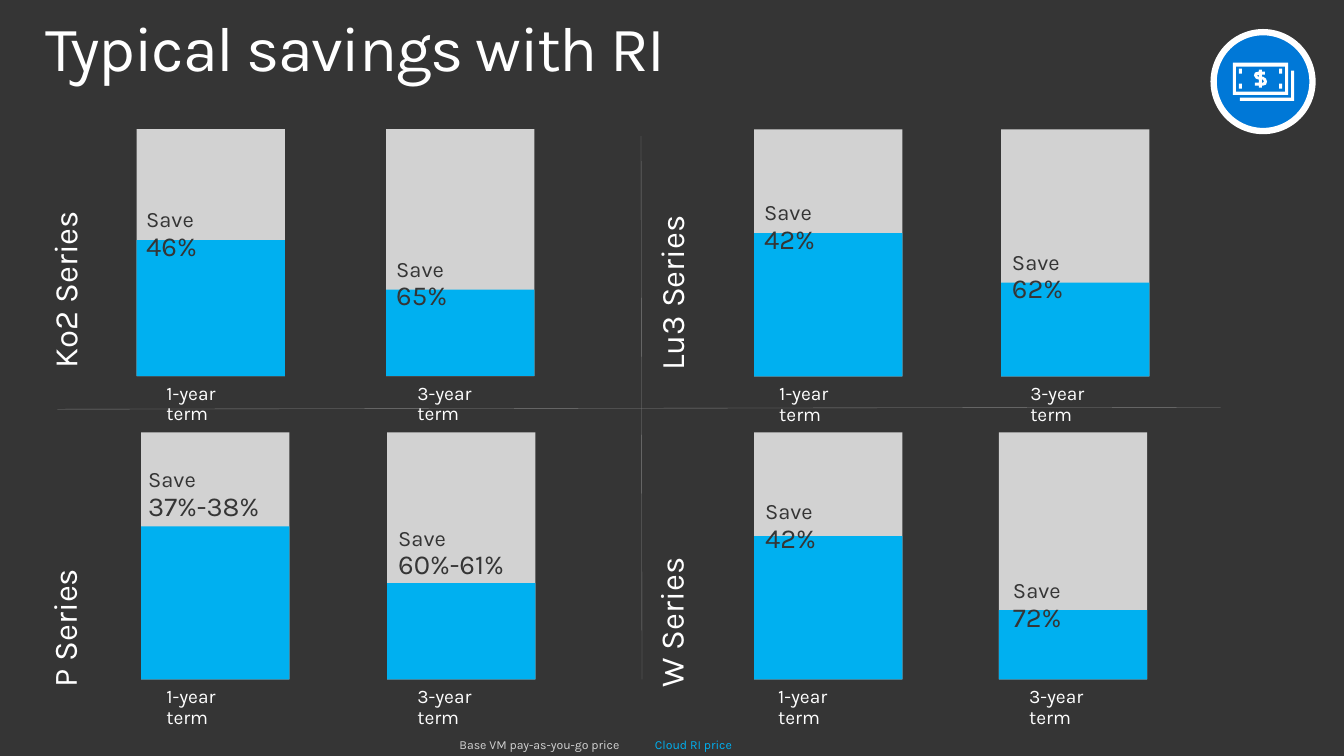
from dataclasses import dataclass

import pptx
import pptx.dml.color
import pptx.enum.shapes
import pptx.enum.text
import pptx.oxml.ns
import pptx.shapes.autoshape
import pptx.slide
import pptx.text.text
import pptx.util
from lxml import etree

Pt = pptx.util.Pt
RGBColor = pptx.dml.color.RGBColor
MSO_SHAPE = pptx.enum.shapes.MSO_SHAPE

CHARCOAL = RGBColor(0x35, 0x35, 0x35)
WHITE = RGBColor(0xFF, 0xFF, 0xFF)
LIGHT_GRAY = RGBColor(0xD2, 0xD2, 0xD2)
RULE_GRAY = RGBColor(0x80, 0x80, 0x80)
SKY_BLUE = RGBColor(0x00, 0xB0, 0xF0)
BADGE_BLUE = RGBColor(0x00, 0x78, 0xD7)

FONT = "Karla"
BAR_WIDTH = 106
BAR_HEIGHT = 176.4
TERM_STEP = 179.3
TERM_DROP = 170.2
ICON_UNIT = 0.72
WIDE_INSETS = (14.4, 11.5)
PLAIN_INSETS = (7.2, 3.6)

Point = tuple[int, int]


@dataclass(frozen=True)
class Span:
    text: str
    size: float
    color: RGBColor


@dataclass(frozen=True)
class Bar:
    left: float
    price_share: float
    saving: str
    label_left: float
    label_top: float
    label_width: float = 101.2


@dataclass(frozen=True)
class Series:
    name: str
    top: float
    center_x: float
    center_y: float
    name_width: float
    term_left: float
    bars: tuple[Bar, Bar]


SERIES = (
    Series("Ko2 Series", 92.2, 47.5, 180.4, 194.4, 104.4, (
        Bar(97.5, 0.55, "Save |46%", 90, 137.5),
        Bar(275.8, 0.35, "Save |65%", 268.6, 172.8))),
    Series("P Series", 308.9, 47.2, 444.6, 121.7, 104.4, (
        Bar(100.8, 0.62, "Save \v|37%-38%", 91.4, 323.3, 109.4),
        Bar(276.5, 0.39, "Save \v|60%-61%", 270, 365, 106.6))),
    Series("Lu3 Series", 92.5, 481, 181.8, 194.4, 542.2, (
        Bar(538.6, 0.58, "Save |42%", 531.4, 132.5),
        Bar(715, 0.38, "Save |62%", 708.5, 167.8))),
    Series("W Series", 308.9, 480.6, 444.6, 121.7, 541.4, (
        Bar(538.6, 0.58, "Save |42%", 532.1, 346.3),
        Bar(713.5, 0.28, "Save |72%", 709.2, 402.5))),
)

BILL_FRAME: tuple[tuple[Point, ...], ...] = (
    ((1278, 94), (1223, 94), (1223, 62), (1278, 62)),
    ((1275, 91), (1275, 66), (1226, 66), (1226, 91)),
)
BILL_SHADOW: tuple[tuple[Point, ...], ...] = (
    ((1284, 100), (1230, 100), (1230, 97), (1281, 97), (1281, 70), (1284, 70)),
)
DOLLAR_SIGN: tuple[tuple[Point, ...], ...] = (
    ((1244, 75), (1245, 72), (1249, 71), (1249, 69), (1252, 69), (1252, 71),
     (1255, 71), (1255, 74), (1252, 74), (1252, 76), (1253, 76), (1256, 78),
     (1257, 81), (1256, 84), (1253, 85), (1252, 85), (1252, 87), (1249, 87),
     (1249, 85), (1245, 85), (1245, 82), (1249, 82), (1249, 79), (1246, 78)),
    ((1247, 75), (1248, 76), (1249, 76), (1249, 74)),
    ((1252, 79), (1252, 82), (1253, 82), (1254, 81), (1253, 79)),
)


def add_text(
    slide: pptx.slide.Slide, left: float, top: float, width: float, height: float,
    spans: tuple[Span, ...], insets: tuple[float, float] = WIDE_INSETS,
    line_spacing: float = 0.9, space_after: float = 5.9,
) -> pptx.shapes.autoshape.Shape:
    shape = slide.shapes.add_textbox(Pt(left), Pt(top), Pt(width), Pt(height))
    frame = shape.text_frame
    frame.word_wrap = True
    frame.auto_size = pptx.enum.text.MSO_AUTO_SIZE.SHAPE_TO_FIT_TEXT
    frame.margin_left = frame.margin_right = Pt(insets[0])
    frame.margin_top = frame.margin_bottom = Pt(insets[1])
    paragraph = frame.paragraphs[0]
    paragraph.line_spacing = line_spacing
    paragraph.space_after = Pt(space_after)
    for span in spans:
        words = span.text.split("\v")
        for index, word in enumerate(words):
            if index:
                paragraph.add_line_break()
            if word:
                run = paragraph.add_run()
                run.text = word
                run.font.name = FONT
                run.font.size = Pt(span.size)
                run.font.color.rgb = span.color
    return shape


def paint(shape: pptx.shapes.autoshape.Shape, color: RGBColor) -> None:
    shape.shadow.inherit = False
    shape.fill.solid()
    shape.fill.fore_color.rgb = color
    shape.line.fill.background()


def add_block(
    slide: pptx.slide.Slide, left: float, top: float, width: float, height: float,
    color: RGBColor, kind: MSO_SHAPE = MSO_SHAPE.RECTANGLE,
) -> pptx.shapes.autoshape.Shape:
    shape = slide.shapes.add_shape(kind, Pt(left), Pt(top), Pt(width), Pt(height))
    paint(shape, color)
    return shape


def add_divider(slide: pptx.slide.Slide, x1: float, y1: float, x2: float, y2: float) -> None:
    connector = slide.shapes.add_connector(
        pptx.enum.shapes.MSO_CONNECTOR.STRAIGHT, Pt(x1), Pt(y1), Pt(x2), Pt(y2))
    connector.line.color.rgb = RULE_GRAY
    connector.line.width = Pt(0.25)
    etree.SubElement(connector._element.spPr, pptx.oxml.ns.qn("a:effectLst"))


def add_outline(slide: pptx.slide.Slide, contours: tuple[tuple[Point, ...], ...]) -> None:
    builder = slide.shapes.build_freeform(*contours[0][0], scale=Pt(ICON_UNIT))
    for index, contour in enumerate(contours):
        if index:
            builder.move_to(*contour[0])
        builder.add_line_segments(contour[1:], close=True)
    paint(builder.convert_to_shape(), WHITE)


def add_series(slide: pptx.slide.Slide, series: Series) -> None:
    name = add_text(
        slide, series.center_x - series.name_width / 2, series.center_y - 24.1,
        series.name_width, 48.2, (Span(series.name, 23.5, WHITE),))
    name.rotation = 270
    for index, (bar, term) in enumerate(zip(series.bars, ("1-year term", "3-year term"))):
        price_height = BAR_HEIGHT * bar.price_share
        add_block(slide, bar.left, series.top, BAR_WIDTH, BAR_HEIGHT, LIGHT_GRAY)
        add_block(slide, bar.left, series.top + BAR_HEIGHT - price_height,
                  BAR_WIDTH, price_height, SKY_BLUE)
        add_text(slide, series.term_left + index * TERM_STEP, series.top + TERM_DROP,
                 96, 37.4, (Span(term, 13.7, WHITE),))
        verb, percent = bar.saving.split("|")
        add_text(slide, bar.label_left, bar.label_top, bar.label_width, 43.9,
                 (Span(verb, 15.7, CHARCOAL), Span(percent, 19.6, CHARCOAL)))


def add_money_badge(slide: pptx.slide.Slide) -> None:
    badge = add_block(slide, 866.9, 23, 70.6, 70.6, BADGE_BLUE, MSO_SHAPE.OVAL)
    badge.line.color.rgb = WHITE
    badge.line.width = Pt(4.5)
    for contours in (BILL_FRAME, BILL_SHADOW, DOLLAR_SIGN):
        add_outline(slide, contours)
    for left in (884.9, 913.7):
        for top in (49, 59.8):
            add_block(slide, left, top, 2.2, 3.6, WHITE)


def main() -> None:
    presentation = pptx.Presentation()
    presentation.slide_width = Pt(960)
    presentation.slide_height = Pt(540)
    slide = presentation.slides.add_slide(presentation.slide_layouts[6])
    slide.background.fill.solid()
    slide.background.fill.fore_color.rgb = CHARCOAL
    title = add_text(slide, 20.9, 5, 918, 70.6,
                     (Span("Typical savings with RI", 45.1, WHITE),), (11.5, 7.2), 0.9, 0)
    title.text_frame.paragraphs[0].runs[0]._r.get_or_add_rPr().set("spc", "-100")
    add_divider(slide, 41, 292.3, 871.9, 290.9)
    add_divider(slide, 457.9, 97.2, 458.6, 485.3)
    add_text(slide, 460.8, 522.7, 276.5, 18,
             (Span("Cloud RI price", 8.8, SKY_BLUE),), PLAIN_INSETS, 1.0, 0)
    add_text(slide, 321.1, 522.7, 131, 18,
             (Span("Base VM pay-as-you-go price", 8.8, LIGHT_GRAY),), PLAIN_INSETS, 1.0, 0)
    for series in SERIES:
        add_series(slide, series)
    add_money_badge(slide)
    presentation.save("out.pptx")


if __name__ == "__main__":
    main()
